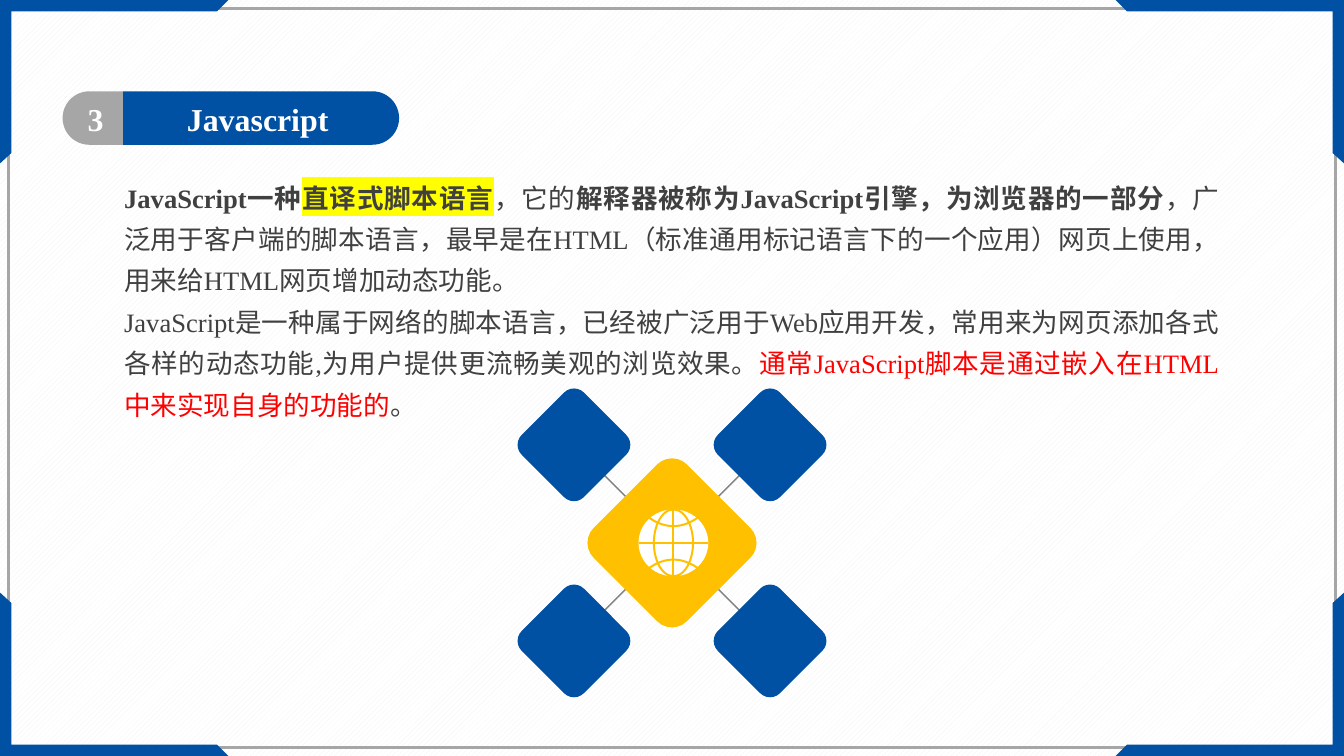
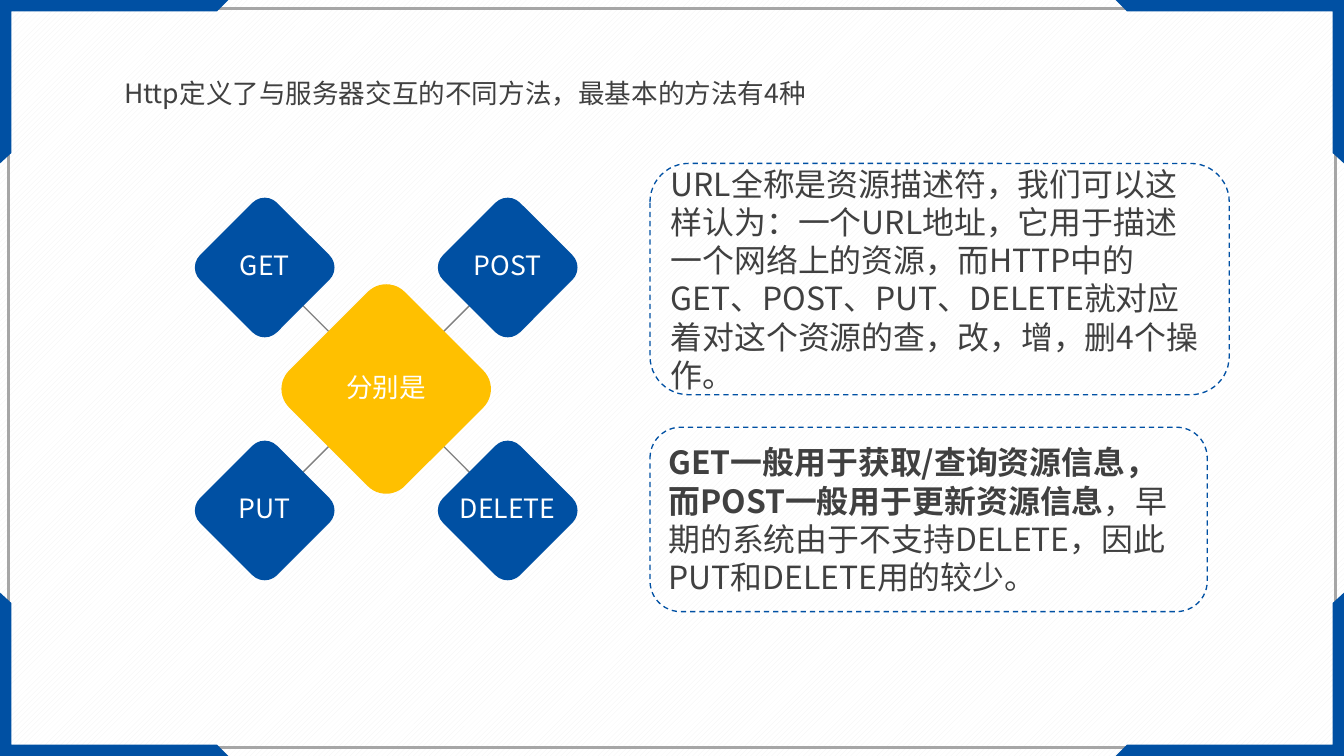
"""Build two slides on JavaScript and the basic HTTP methods."""
from itertools import product
from lxml.etree import SubElement
from pptx import Presentation
from pptx.dml.color import RGBColor
from pptx.enum.dml import MSO_LINE, MSO_PATTERN
from pptx.enum.shapes import MSO_CONNECTOR, MSO_SHAPE as Shape
from pptx.enum.text import MSO_ANCHOR as Anchor, PP_ALIGN as Align
from pptx.oxml.ns import qn
from pptx.util import Inches, Pt

CELL = Inches(0.1)
COLUMNS, ROWS = 140.6, 79.1
BLUE, YELLOW, GREY, DARK, WHITE, RED = "0050A3", "FFC000", "A6A6A6", "404040", "FFFFFF", "FF0000"
SANS, SERIF = "Noto Sans CJK SC", "Times New Roman"
rgb = RGBColor.from_string


def cells(*counts):
    """Turn counts of grid cells into lengths."""
    return [round(CELL * count) for count in counts]


def paint(shape, fill=None, line=None, width=1):
    """Give a shape its fill and line and take away its shadow."""
    shape.shadow.inherit = False
    if fill:
        shape.fill.solid()
        shape.fill.fore_color.rgb = rgb(fill)
    else:
        shape.fill.background()
    if line:
        shape.line.color.rgb = rgb(line)
        shape.line.width = Pt(width)
    else:
        shape.line.fill.background()
    return shape


deck = Presentation()
deck.slide_width, deck.slide_height = cells(COLUMNS, ROWS)
backdrop = deck.slide_master.background.fill
backdrop.patterned()
backdrop.pattern = MSO_PATTERN.WIDE_UPWARD_DIAGONAL
backdrop.fore_color.rgb = rgb("F2F2F2")
backdrop.back_color.rgb = rgb(WHITE)

corner = [(0, 0), (23.9, 0), (22.7, 1.2), (1.2, 1.2), (1.2, 16), (0, 17.1)]
pages = [deck.slides.add_slide(deck.slide_layouts[6]) for _ in range(2)]
for page in pages:
    frame = page.shapes.add_shape(Shape.RECTANGLE, *cells(0.9, 0.9, COLUMNS - 1.8, ROWS - 1.8))
    paint(frame, line=GREY, width=2)
    for right, bottom in product((False, True), repeat=2):
        points = [cells(COLUMNS - x if right else x, ROWS - y if bottom else y) for x, y in corner]
        outline = page.shapes.build_freeform(*points[0])
        outline.add_line_segments(points[1:])
        paint(outline.convert_to_shape(), BLUE)
script_page, http_page = pages

for box, turn, color in (((24.5, -2.1, 5.6, 28.9), 90, BLUE), ((6.9, 9.2, 5.6, 6.3), 270, GREY)):
    tag = paint(script_page.shapes.add_shape(Shape.ROUND_2_SAME_RECTANGLE, *cells(*box)), color)
    tag.rotation = turn
    tag.adjustments[0], tag.adjustments[1] = 0.5, 0

texts = [
    (script_page, (13.5, 9.6, 26.9, 5.6), SERIF, 24, WHITE, Align.CENTER, 1, [[("Javascript", "bold")]]),
    (script_page, (7, 9.6, 6, 5.6), SERIF, 24, WHITE, Align.CENTER, 1, [[("3", "bold")]]),
    (script_page, (12, 17.5, 116.5, 26.8), SERIF, 20, DARK, Align.JUSTIFY, 1.3, [
        [("JavaScript一种", "bold"), ("直译式脚本语言", "bold mark"), ("，它的", ""),
         ("解释器被称为JavaScript引擎，为浏览器的一部分", "bold"),
         ("，广泛用于客户端的脚本语言，最早是在HTML（标准通用标记语言下的一个应用）网页上使用，"
          "用来给HTML网页增加动态功能。", "")],
        [("JavaScript是一种属于网络的脚本语言，已经被广泛用于Web应用开发，常用来为网页添加各式各样的"
          "动态功能,为用户提供更流畅美观的浏览效果。", ""),
         ("通常JavaScript脚本是通过嵌入在HTML中来实现自身的功能的", "red"), ("。", "")]]),
    (http_page, (12, 7.6, 116.5, 4.3), SANS, 20, DARK, Align.JUSTIFY, 1,
     [[("Http定义了与服务器交互的不同方法，最基本的方法有4种", "")]]),
    (http_page, (68, 17.1, 60.6, 24.2), SANS, 24, DARK, Align.LEFT, 1,
     [[("URL全称是资源描述符，我们可以这样认为：一个URL地址，它用于描述一个网络上的资源，"
        "而HTTP中的GET、POST、PUT、DELETE就对应着对这个资源的查，改，增，删4个操作。", "")]]),
    (http_page, (68, 44.7, 58.3, 19.3), SANS, 24, DARK, Align.LEFT, 1,
     [[("GET一般用于获取/查询资源信息，而POST一般用于更新资源信息", "bold"),
       ("，早期的系统由于不支持DELETE，因此PUT和DELETE用的较少。", "")]]),
]

clusters = [
    (script_page, 70.3, 56.8, 9.2, []),
    (http_page, 40.4, 40.7, 11.4, ["GET", "POST", "PUT", "DELETE", "分别是"]),
]
for page, middle_x, middle_y, side, labels in clusters:
    directions = [(x, y) for y, x in product((-1, 1), repeat=2)]
    for x, y in directions:
        ends = [side * share * way + middle for share in (0.42, 0.84)
                for way, middle in ((x, middle_x), (y, middle_y))]
        spoke = page.shapes.add_connector(MSO_CONNECTOR.STRAIGHT, *cells(*ends))
        spoke.line.color.rgb = rgb("808080")
        spoke.line.width = Pt(1)
        SubElement(spoke._element.spPr, qn("a:effectLst"))
    reach = side * 1.115
    centers = [(middle_x + x * reach, middle_y + y * reach) for x, y in directions]
    centers.append((middle_x, middle_y))
    for index, (x, y) in enumerate(centers):
        size, color = (side * 1.5, YELLOW) if index == 4 else (side, BLUE)
        box = cells(x - size / 2, y - size / 2, size, size)
        diamond = paint(page.shapes.add_shape(Shape.ROUNDED_RECTANGLE, *box), color)
        diamond.rotation = 45
        diamond.adjustments[0] = 0.16
    for label, (x, y) in zip(labels, centers):
        texts.append((page, (x - 7, y - 2.4, 14, 4.3), SANS, 20, WHITE, Align.CENTER, 1, [[(label, "")]]))

globe_x, globe_y = 70.45, 56.8
for width, fill, line in ((7.3, WHITE, None), (4.1, None, YELLOW)):
    box = cells(globe_x - width / 2, globe_y - 3.5, width, 7)
    paint(script_page.shapes.add_shape(Shape.OVAL, *box), fill, line, 1.5)
arc = [step / 6 for step in range(-6, 7)]
curves = [
    [(-3.65, 0), (3.65, 0)],
    [(0, -3.5), (0, 3.5)],
    [(2.5 * step, -1.75 - 0.85 * step ** 2) for step in arc],
    [(2.5 * step, 1.75 + 0.85 * step ** 2) for step in arc],
]
for curve in curves:
    points = [cells(globe_x + x, globe_y + y) for x, y in curve]
    outline = script_page.shapes.build_freeform(*points[0])
    outline.add_line_segments(points[1:], close=False)
    paint(outline.convert_to_shape(), line=YELLOW, width=1.5)

for page, box, font, size, color, align, spacing, paragraphs in texts:
    if align == Align.LEFT:
        holder = paint(page.shapes.add_shape(Shape.ROUNDED_RECTANGLE, *cells(*box)), line=BLUE)
        holder.line.dash_style = MSO_LINE.DASH
        holder.text_frame.vertical_anchor = Anchor.MIDDLE
    else:
        holder = page.shapes.add_textbox(*cells(*box))
        if font == SERIF and align == Align.CENTER:
            holder.text_frame.margin_top = Inches(0.08)
    body = holder.text_frame
    body.word_wrap = True
    for index, spans in enumerate(paragraphs):
        para = body.add_paragraph() if index else body.paragraphs[0]
        para.alignment = align
        para.line_spacing = spacing
        para.font.size = Pt(size)
        para.font.name = font
        para.font.color.rgb = rgb(color)
        SubElement(para._p.pPr.find(qn("a:defRPr")), qn("a:ea"), typeface=SANS)
        for words, look in spans:
            span = para.add_run()
            span.text = words
            if "bold" in look:
                span.font.bold = True
            if "red" in look:
                span.font.color.rgb = rgb(RED)
            if "mark" in look:
                highlight = SubElement(span.font._element, qn("a:highlight")) if hasattr(
                    span.font, "_element") else SubElement(span._r.get_or_add_rPr(), qn("a:highlight"))
                SubElement(highlight, qn("a:srgbClr"), val="FFFF00")

deck.save("out.pptx")
